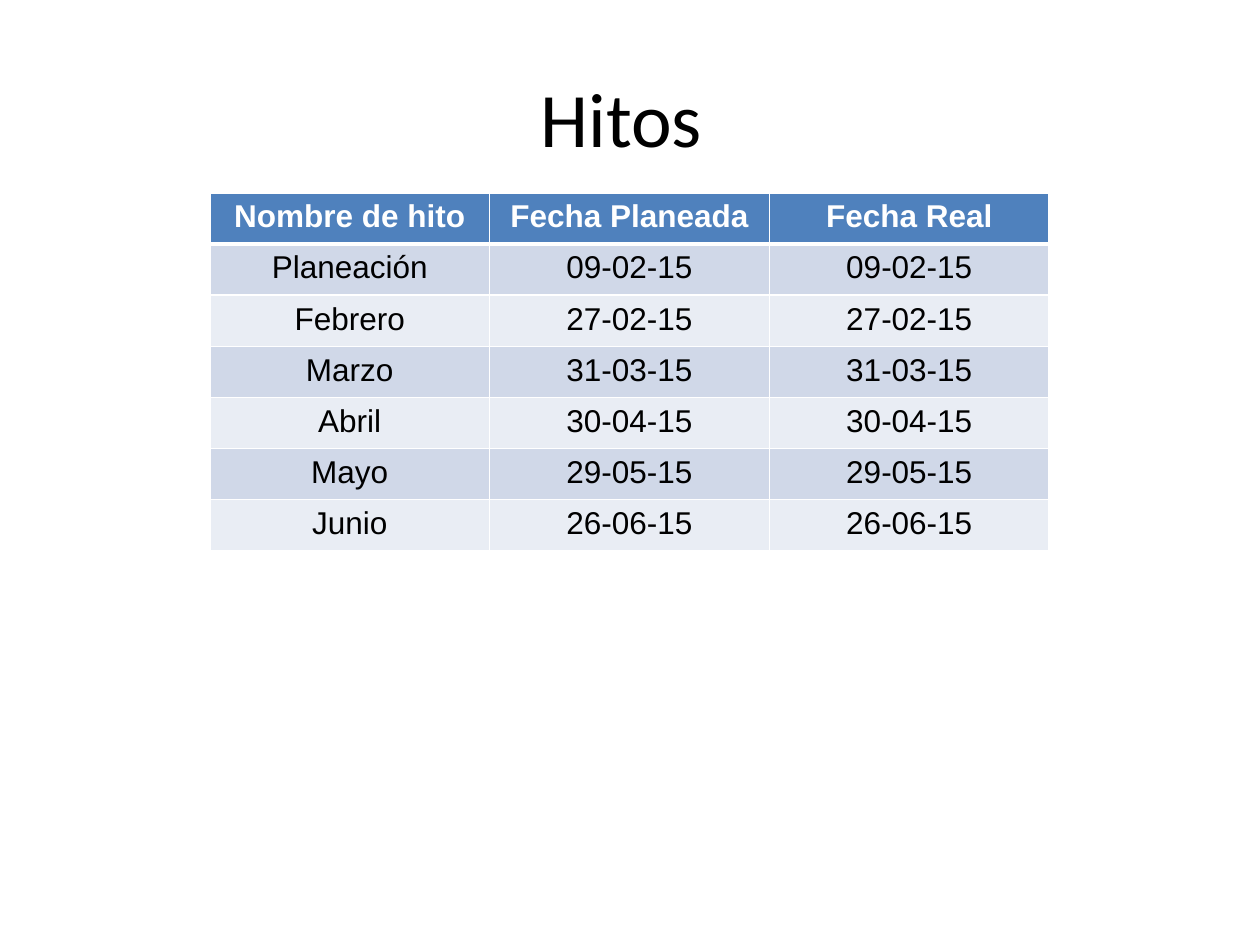
from dataclasses import dataclass

from lxml.etree import SubElement
from pptx import Presentation
from pptx.dml.color import RGBColor as Rgb
from pptx.enum.text import MSO_ANCHOR as Anchor, PP_ALIGN as Align
from pptx.oxml.ns import qn
from pptx.util import Cm, Pt


@dataclass(frozen=True)
class Theme:
    """Colours, fonts and type sizes of the slide."""
    text: str = "000000"
    white: str = "FFFFFF"
    header: str = "4F81BD"
    bands: tuple[str, str] = ("D0D8E8", "E9EDF4")
    title_font: str = "Calibri"
    table_font: str = "Arial"
    title_size: int = 44
    table_size: int = 18
    rule: int = 1
    header_rule: int = 3


@dataclass(frozen=True)
class Milestone:
    """One milestone with its planned and actual dates."""
    name: str
    planned: str
    actual: str


THEME = Theme()
HEADINGS = ("Nombre de hito", "Fecha Planeada", "Fecha Real")
MILESTONES = (
    Milestone("Planeación", "09-02-15", "09-02-15"),
    Milestone("Febrero", "27-02-15", "27-02-15"),
    Milestone("Marzo", "31-03-15", "31-03-15"),
    Milestone("Abril", "30-04-15", "30-04-15"),
    Milestone("Mayo", "29-05-15", "29-05-15"),
    Milestone("Junio", "26-06-15", "26-06-15"),
)
COLUMN_WIDTH, ROW_HEIGHT = Cm(5.64), Cm(1.03)


def write_text(frame, text: str, *, font: str, size: int, color: str,
               bold: bool = False) -> None:
    """Write one centred, formatted paragraph into a text frame."""
    paragraph = frame.paragraphs[0]
    paragraph.alignment = Align.CENTER
    run = paragraph.add_run()
    run.text = text
    run.font.name = font
    run.font.size = Pt(size)
    run.font.bold = bold
    run.font.color.rgb = Rgb.from_string(color)


def draw_border(cell, side: str, width: int) -> None:
    """Add a white border to one side of a cell."""
    properties = cell._tc.get_or_add_tcPr()
    line = SubElement(properties, qn(f"a:ln{side}"), w=str(Pt(width)))
    fill = SubElement(line, qn("a:solidFill"))
    SubElement(fill, qn("a:srgbClr"), val=THEME.white)


def add_title(slide, text: str) -> None:
    """Place and format the title placeholder."""
    title = slide.shapes.title
    title.left, title.top = Cm(1.27), Cm(0.76)
    title.width, title.height = Cm(22.86), Cm(3.18)
    title.text_frame.vertical_anchor = Anchor.MIDDLE
    write_text(title.text_frame, text, font=THEME.title_font,
               size=THEME.title_size, color=THEME.text)


def format_cell(cell, text: str, row: int) -> None:
    """Fill, frame and write a cell according to its row."""
    is_header = row == 0
    top = THEME.header_rule if row == 1 else THEME.rule
    bottom = THEME.header_rule if is_header else THEME.rule
    for side, width in (("L", THEME.rule), ("R", THEME.rule),
                        ("T", top), ("B", bottom)):
        draw_border(cell, side, width)
    fill = THEME.header if is_header else THEME.bands[(row - 1) % 2]
    cell.fill.solid()
    cell.fill.fore_color.rgb = Rgb.from_string(fill)
    write_text(cell.text_frame, text, font=THEME.table_font,
               size=THEME.table_size, bold=is_header,
               color=THEME.white if is_header else THEME.text)


def add_milestone_table(slide) -> None:
    """Draw the table of milestones below the title."""
    rows = [HEADINGS, *((m.name, m.planned, m.actual) for m in MILESTONES)]
    table = slide.shapes.add_table(
        len(rows), len(HEADINGS), Cm(4.23), Cm(3.89),
        COLUMN_WIDTH * len(HEADINGS), ROW_HEIGHT * len(rows)).table
    for row, values in enumerate(rows):
        for column, text in enumerate(values):
            format_cell(table.cell(row, column), text, row)


def main() -> None:
    """Build and save the presentation."""
    presentation = Presentation()
    presentation.slide_width, presentation.slide_height = Cm(25.4), Cm(19.05)
    slide = presentation.slides.add_slide(presentation.slide_layouts[5])
    add_title(slide, "Hitos ")
    add_milestone_table(slide)
    presentation.save("out.pptx")


main()
